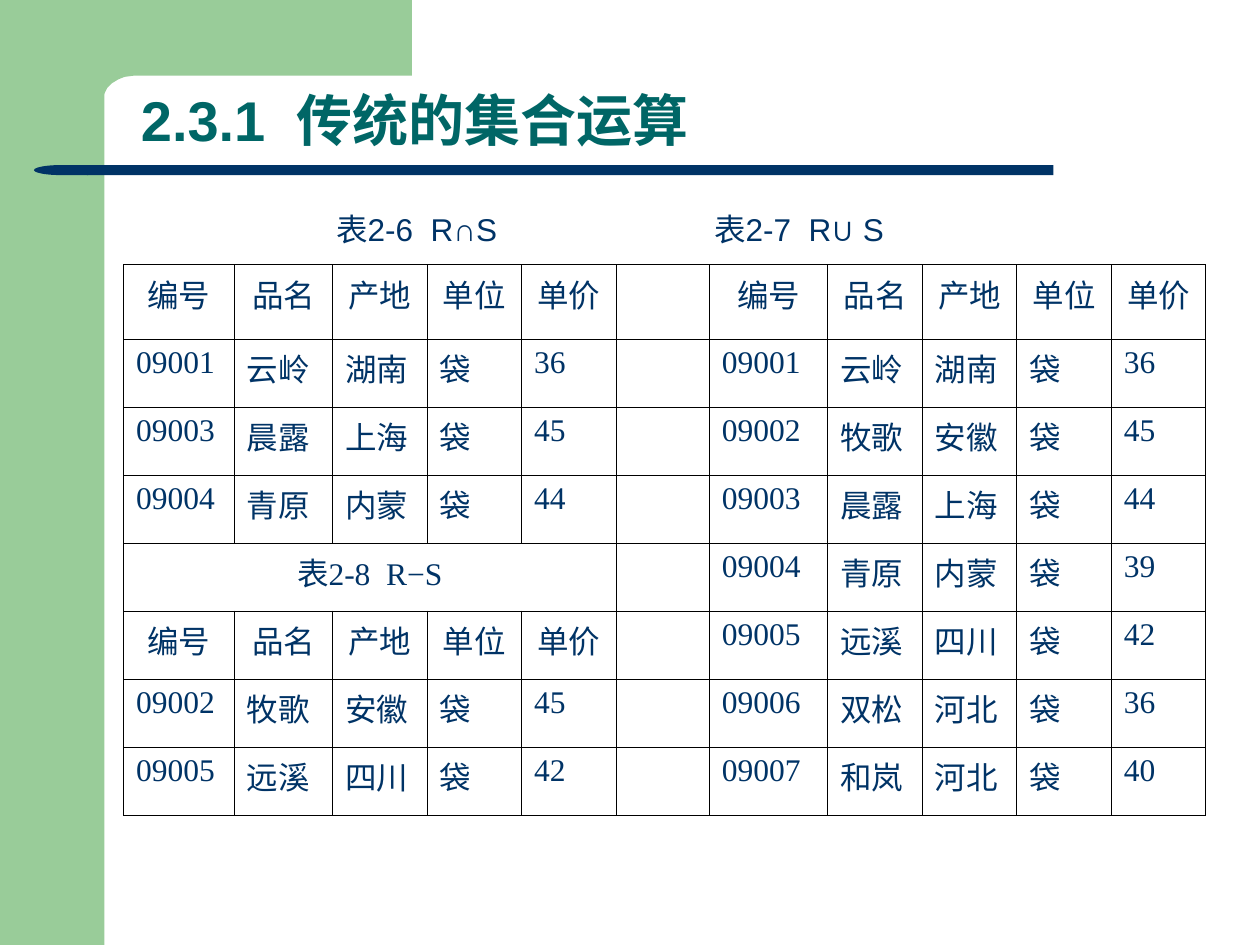
from lxml.etree import SubElement
from pptx import Presentation
from pptx.dml.color import RGBColor
from pptx.enum.shapes import MSO_SHAPE as Shape
from pptx.enum.text import MSO_ANCHOR as Anchor, PP_ALIGN as Align
from pptx.oxml import parse_xml
from pptx.oxml.ns import nsdecls, qn
from pptx.util import Inches, Pt

GREEN, NAVY, TEAL = "99CC99", "003366", "006666"
SANS, SERIF = "Arial", "Times New Roman"

CORNER = [(3.27, 0), (3.27, 0.6), (1.07, 0.6), (0.99, 0.61), (0.94, 0.63),
          (0.89, 0.66), (0.85, 0.7), (0.83, 0.74), (0.81, 0.79), (0.81, 0.91),
          (0.5, 0.91), (0.5, 0)]

WIDTHS = [0.88, 0.78, 0.75, 0.75, 0.75, 0.74, 0.94, 0.75, 0.75, 0.75, 0.75]
HEIGHTS = [0.59] + [0.54] * 7
HEAD = ["编号", "品名", "产地", "单位", "单价"]
UNIT = "袋"
GOODS = {
    "09001": ("云岭", "湖南"),
    "09002": ("牧歌", "安徽"),
    "09003": ("晨露", "上海"),
    "09004": ("青原", "内蒙"),
    "09005": ("远溪", "四川"),
    "09006": ("双松", "河北"),
    "09007": ("和岚", "河北"),
}
# Each block: top row, left column, price by product number
BOTH = (0, 0, {"09001": "36", "09003": "45", "09004": "44"})
UNION = (0, 6, {"09001": "36", "09002": "45", "09003": "44", "09004": "39",
                "09005": "42", "09006": "36", "09007": "40"})
MINUS = (5, 0, {"09002": "45", "09005": "42"})
MINUS_ROW = 4


def color(code):
    return RGBColor.from_string(code)


def style(font, size, name, code, bold=False):
    font.size, font.name, font.bold = Pt(size), name, bold
    font.color.rgb = color(code)


def paint(shape, code):
    shape.shadow.inherit = False
    shape.fill.solid()
    shape.fill.fore_color.rgb = color(code)
    shape.line.fill.background()
    return shape


def add_block(slide, kind, box, code):
    shape = slide.shapes.add_shape(kind, *map(Inches, box))
    return paint(shape, code)


def add_corner(slide):
    points = [(Inches(x), Inches(y)) for x, y in CORNER]
    outline = slide.shapes.build_freeform(*points[0])
    outline.add_line_segments(points[1:], close=True)
    paint(outline.convert_to_shape(), GREEN)


def add_text(slide, box, text, anchor, size, code, bold=False):
    frame = slide.shapes.add_textbox(*map(Inches, box)).text_frame
    frame.word_wrap = True
    frame.vertical_anchor = anchor
    frame.text = text
    para = frame.paragraphs[0]
    style(para.runs[0].font, size, SANS, code, bold)
    return para


def add_tabs(para):
    """Left tab stops at every inch."""
    stops = SubElement(para._p.get_or_add_pPr(), qn("a:tabLst"))
    for inch in range(8):
        SubElement(stops, qn("a:tab"), pos=str(Inches(inch)), algn="l")


def add_border(cell):
    props = cell._tc.get_or_add_tcPr()
    for at, side in enumerate("LRTB"):
        props.insert(at, parse_xml(
            f'<a:ln{side} {nsdecls("a")} w="{Pt(0.45)}"><a:solidFill>'
            f'<a:srgbClr val="000000"/></a:solidFill></a:ln{side}>'))


def fill_cell(cell, text, font, align=Align.LEFT):
    cell.text = text
    para = cell.text_frame.paragraphs[0]
    para.alignment = align
    style(para.runs[0].font, 18, font, NAVY)


def fill_set(table, top, left, prices):
    for col, label in enumerate(HEAD, left):
        fill_cell(table.cell(top, col), label, SANS, Align.CENTER)
    for row, (code, price) in enumerate(prices.items(), top + 1):
        for col, value in enumerate([code, *GOODS[code], UNIT, price], left):
            fill_cell(table.cell(row, col), value, SERIF)


def fill_title(table):
    """Merged title row above the difference table."""
    cell = table.cell(MINUS_ROW, 0)
    cell.merge(table.cell(MINUS_ROW, len(HEAD) - 1))
    fill_cell(cell, "表", SANS, Align.CENTER)
    run = cell.text_frame.paragraphs[0].add_run()
    run.text = "2-8  R−S"
    style(run.font, 18, SERIF, NAVY)


def add_grid(slide):
    box = (0.98, 2.1, sum(WIDTHS), sum(HEIGHTS))
    table = slide.shapes.add_table(len(HEIGHTS), len(WIDTHS), *map(Inches, box)).table
    table.first_row = table.horz_banding = False
    for col, width in zip(table.columns, WIDTHS):
        col.width = Inches(width)
    for row, height in zip(table.rows, HEIGHTS):
        row.height = Inches(height)
    for cell in table.iter_cells():
        cell.fill.background()
        add_border(cell)
    for block in (BOTH, UNION, MINUS):
        fill_set(table, *block)
    fill_title(table)


def main():
    deck = Presentation()
    deck.slide_width, deck.slide_height = Inches(10), Inches(7.5)
    slide = deck.slides.add_slide(deck.slide_layouts[6])

    add_block(slide, Shape.RECTANGLE, (0, 0, 0.83, 7.5), GREEN)
    add_corner(slide)
    bar = add_block(slide, Shape.ROUNDED_RECTANGLE, (0.69, 1.31, 7.67, 0.08), NAVY)
    bar.adjustments[0] = 0
    tip = add_block(slide, Shape.FLOWCHART_DELAY, (0.27, 1.31, 0.43, 0.08), NAVY)
    tip._element.spPr.xfrm.set("flipH", "1")

    title = add_text(slide, (1.02, 0.72, 8.19, 0.55), "2.3.1  传统的集合运算",
                     Anchor.BOTTOM, 32, TEAL, True)
    title.line_spacing = 0.9
    label = add_text(slide, (2.57, 1.62, 4.8, 0.4), "表2-6  R∩S\t\t表2-7  R∪ S",
                     Anchor.MIDDLE, 18, NAVY)
    add_tabs(label)
    add_grid(slide)
    deck.save("out.pptx")


if __name__ == "__main__":
    main()
